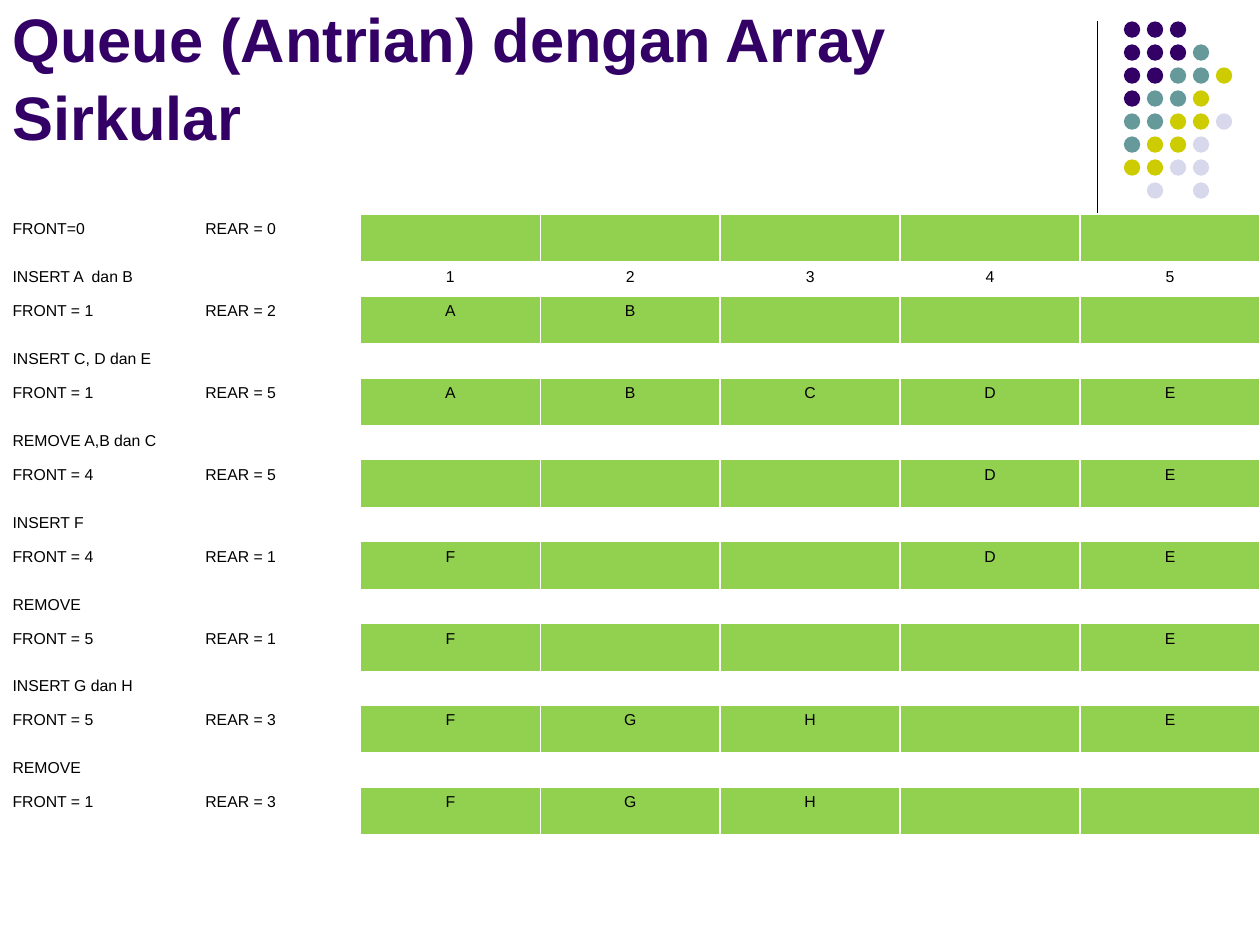
from pptx import Presentation
from pptx.dml.color import RGBColor
from pptx.enum.shapes import MSO_CONNECTOR as Connector, MSO_SHAPE as Shape
from pptx.enum.text import MSO_ANCHOR as Anchor, MSO_AUTO_SIZE as AutoSize, PP_ALIGN as Align
from pptx.oxml.ns import qn
from pptx.util import Inches, Pt

PURPLE = RGBColor(0x33, 0x00, 0x66)
TEAL = RGBColor(0x66, 0x99, 0x99)
OLIVE = RGBColor(0xCC, 0xCC, 0x00)
LILAC = RGBColor(0xD8, 0xD8, 0xEC)
GREEN = RGBColor(0x92, 0xD0, 0x50)
BLACK = RGBColor(0x00, 0x00, 0x00)

FONT = "Arial"
CELL_SIZE = Pt(9)
SLOTS = 5

# Each dot row, one letter per dot; a space leaves a gap
DOT_COLORS = {"P": PURPLE, "T": TEAL, "O": OLIVE, "L": LILAC}
DOT_ROWS = ["PPP", "PPPT", "PPTTO", "PTTO", "TTOOL", "TOOL", "OOLL", " L L"]

# Front, rear, slot contents, then the operation that follows
STEPS = [
    ("FRONT=0", "REAR = 0", "     ", "INSERT A  dan B"),
    ("FRONT = 1", "REAR = 2", "AB   ", "INSERT C, D dan E"),
    ("FRONT = 1", "REAR = 5", "ABCDE", "REMOVE A,B dan C"),
    ("FRONT = 4", "REAR = 5", "   DE", "INSERT F"),
    ("FRONT = 4", "REAR = 1", "F  DE", "REMOVE"),
    ("FRONT = 5", "REAR = 1", "F   E", "INSERT G dan H"),
    ("FRONT = 5", "REAR = 3", "FGH E", "REMOVE"),
    ("FRONT = 1", "REAR = 3", "FGH  ", None),
]


def add_title(page, left, top, width, height, text):
    title = page.shapes.title
    title.left, title.top = Inches(left), Inches(top)
    title.width, title.height = Inches(width), Inches(height)
    frame = title.text_frame
    frame.text = text
    frame.word_wrap = True
    frame.auto_size = AutoSize.NONE
    frame.vertical_anchor = Anchor.BOTTOM
    para = frame.paragraphs[0]
    para.alignment = Align.LEFT
    para.line_spacing = 1.05
    para.font.name, para.font.size = FONT, Pt(35.1)
    para.font.bold = True
    para.font.color.rgb = PURPLE


def add_ornament(page, left, top, height):
    """Vertical rule with a grid of dots to its right."""
    rule = page.shapes.add_connector(
        Connector.STRAIGHT, Inches(left), Inches(top), Inches(left), Inches(top + height))
    rule.line.color.rgb = BLACK
    rule.line.width = Pt(0.75)
    properties = rule._element.spPr
    properties.append(properties.makeelement(qn("a:effectLst"), {}))

    dots = page.shapes.add_group_shape()
    size, pitch, offset = 0.13, 0.73 / 4, 0.21
    for row, letters in enumerate(DOT_ROWS):
        for column, letter in enumerate(letters):
            if letter == " ":
                continue
            dot = dots.shapes.add_shape(
                Shape.OVAL, Inches(left + offset + column * pitch),
                Inches(top + row * pitch), Inches(size), Inches(size))
            dot.shadow.inherit = False
            dot.fill.solid()
            dot.fill.fore_color.rgb = DOT_COLORS[letter]
            dot.line.fill.background()


def fill_cell(cell, text, fill=None, align=Align.LEFT):
    if fill is None:
        cell.fill.background()
    else:
        cell.fill.solid()
        cell.fill.fore_color.rgb = fill
    para = cell.text_frame.paragraphs[0]
    para.alignment = align
    para.font.name, para.font.size = FONT, CELL_SIZE
    para.font.color.rgb = BLACK
    if text.strip():
        para.text = text
    else:
        # Keeps empty cells from stretching their row
        para._p.get_or_add_endParaRPr().set("sz", str(int(CELL_SIZE.pt * 100)))


def add_queue_table(page, left, top, width):
    label_widths = [1.53, 1.33]
    slot_width = (width - sum(label_widths)) / SLOTS
    state_height, action_height = 0.38, 0.27
    row_count = 2 * len(STEPS) - 1
    height = len(STEPS) * state_height + (len(STEPS) - 1) * action_height
    table = page.shapes.add_table(
        row_count, 2 + SLOTS, Inches(left), Inches(top), Inches(width), Inches(height)).table
    table.first_row = table.horz_banding = False
    for column, column_width in zip(table.columns, label_widths + [slot_width] * SLOTS):
        column.width = Inches(column_width)
    for index, row in enumerate(table.rows):
        row.height = Inches(action_height if index % 2 else state_height)

    for step, (front, rear, slots, action) in enumerate(STEPS):
        # State row: pointers and the array slots
        state = 2 * step
        fill_cell(table.cell(state, 0), front)
        fill_cell(table.cell(state, 1), rear)
        for slot, value in enumerate(slots, start=2):
            fill_cell(table.cell(state, slot), value, GREEN, Align.CENTER)
        if action is None:
            continue
        # Action row: operation label, with slot numbers under the first array
        table.cell(state + 1, 0).merge(table.cell(state + 1, 1))
        fill_cell(table.cell(state + 1, 0), action)
        fill_cell(table.cell(state + 1, 1), "")
        for slot in range(SLOTS):
            number = str(slot + 1) if step == 0 else ""
            fill_cell(table.cell(state + 1, slot + 2), number, align=Align.CENTER)


deck = Presentation()
deck.slide_width, deck.slide_height = Inches(10), Inches(7.5)
page = deck.slides.add_slide(deck.slide_layouts[5])
add_ornament(page, 8.71, 0.17, 1.66)
add_title(page, 0, 0.39, 9, 0.87, "Queue (Antrian) dengan Array Sirkular")
add_queue_table(page, 0, 1.7, 10)
deck.save("out.pptx")
